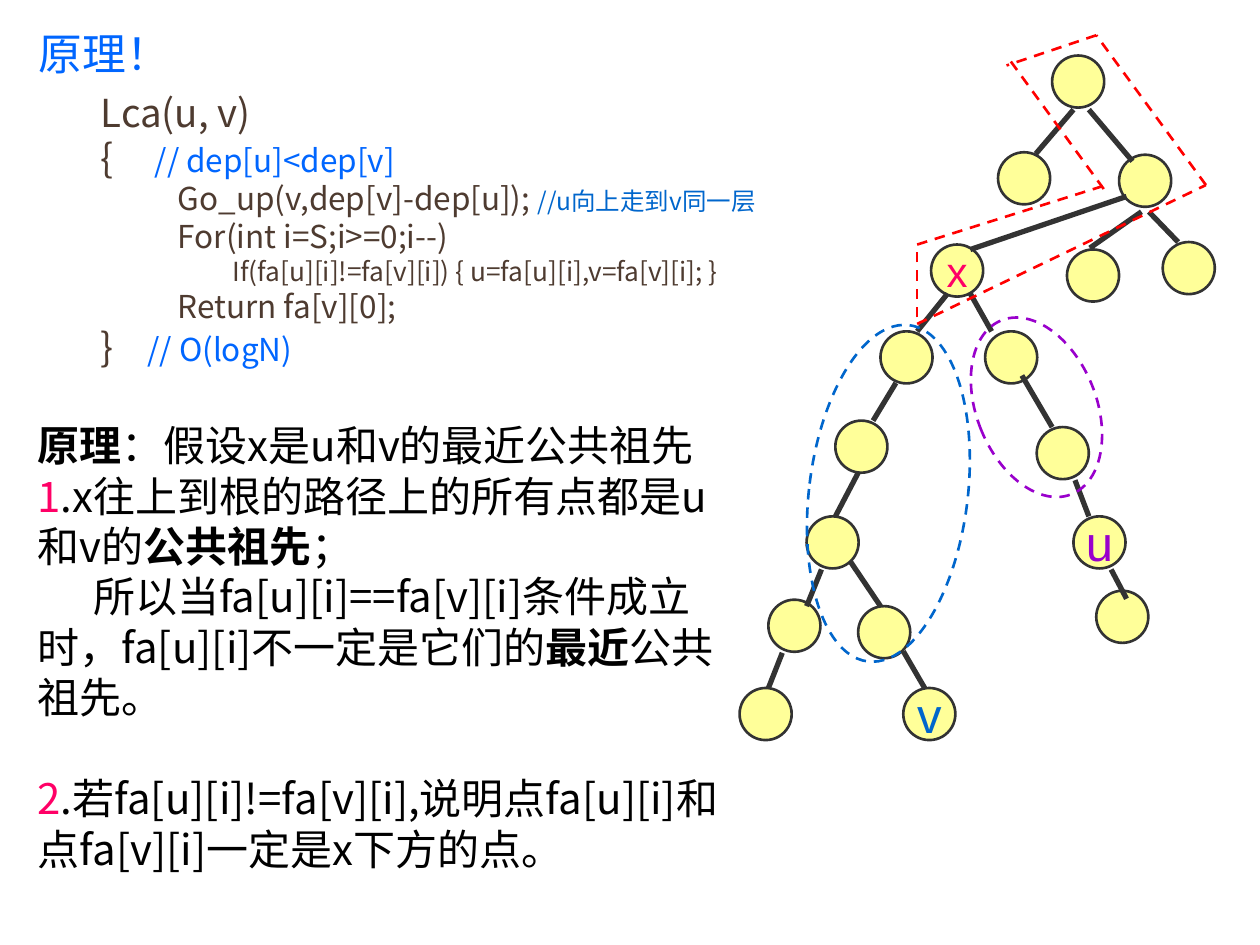
from dataclasses import dataclass
from typing import NamedTuple

from lxml import etree
from pptx import Presentation
from pptx.dml.color import RGBColor
from pptx.enum.dml import MSO_LINE
from pptx.enum.shapes import MSO_CONNECTOR, MSO_SHAPE
from pptx.enum.text import MSO_ANCHOR, MSO_AUTO_SIZE, PP_ALIGN
from pptx.oxml.ns import qn
from pptx.util import Cm, Pt

OVAL = MSO_SHAPE.OVAL
STRAIGHT = MSO_CONNECTOR.STRAIGHT
DASH = MSO_LINE.DASH
TOP, MIDDLE = MSO_ANCHOR.TOP, MSO_ANCHOR.MIDDLE
LEFT, CENTER = PP_ALIGN.LEFT, PP_ALIGN.CENTER
NO_FIT = MSO_AUTO_SIZE.NONE


@dataclass(frozen=True)
class Theme:
    sans: str = "Noto Sans CJK SC"
    latin: str = "Arial"
    black: str = "000000"
    code: str = "4E3B30"
    comment: str = "0066FF"
    blue: str = "0066CC"
    pink: str = "FF0066"
    purple: str = "9900CC"
    red: str = "FF0000"
    edge: str = "333333"
    node: str = "FFFF99"
    title_size: int = 25
    text_size: int = 24
    head_size: int = 22
    code_size: int = 18
    inner_size: int = 15
    note_size: int = 14
    label_size: int = 28
    thin: float = 1.5
    thick: float = 3


T = Theme()


class Run(NamedTuple):
    text: str
    size: int = T.text_size
    color: str = T.black
    bold: bool = False
    font: str = T.sans


class Para(NamedTuple):
    runs: list[Run]
    level: int = 0
    margin: float = 0
    indent: float = 0
    before: float = 0
    spacing: float = 1
    align: PP_ALIGN = LEFT


class Node(NamedTuple):
    left: float
    top: float
    label: Run | None = None


class Edge(NamedTuple):
    x1: float
    y1: float
    x2: float
    y2: float


class Ring(NamedTuple):
    left: float
    top: float
    width: float
    height: float
    angle: int
    color: str


def write(tf, paras: list[Para], anchor: MSO_ANCHOR = TOP, wrap: bool = True) -> None:
    frame = {"word_wrap": wrap, "auto_size": NO_FIT, "vertical_anchor": anchor,
             "margin_left": Cm(0.25), "margin_right": Cm(0.25),
             "margin_top": Cm(0.13), "margin_bottom": Cm(0.13)}
    for name, value in frame.items():
        setattr(tf, name, value)
    for i, para in enumerate(paras):
        p = tf.paragraphs[0] if i == 0 else tf.add_paragraph()
        form = {"level": para.level, "alignment": para.align, "line_spacing": para.spacing,
                "space_before": Pt(para.before), "space_after": Pt(0)}
        for name, value in form.items():
            setattr(p, name, value)
        pPr = p._p.get_or_add_pPr()
        pPr.set("marL", str(int(Cm(para.margin))))
        pPr.set("indent", str(int(Cm(para.indent))))
        etree.SubElement(pPr, qn("a:buNone"))
        for run in para.runs:
            r = p.add_run()
            r.text = run.text
            for name, value in {"name": run.font, "size": Pt(run.size), "bold": run.bold}.items():
                setattr(r.font, name, value)
            r.font.color.rgb = RGBColor.from_string(run.color)
            etree.SubElement(r._r.get_or_add_rPr(), qn("a:ea")).set("typeface", run.font)


def place(sp, left: float, top: float, width: float, height: float) -> None:
    for name, value in {"left": left, "top": top, "width": width, "height": height}.items():
        setattr(sp, name, Cm(value))


def outline(sp, color: str, width: float, dashed: bool = False) -> None:
    sp.line.color.rgb = RGBColor.from_string(color)
    sp.line.width = Pt(width)
    if dashed:
        sp.line.dash_style = DASH


def draw_node(s, node: Node, size: float = 1.05) -> None:
    sp = s.shapes.add_shape(OVAL, Cm(node.left), Cm(node.top), Cm(size), Cm(size))
    sp.shadow.inherit = False
    sp.fill.solid()
    sp.fill.fore_color.rgb = RGBColor.from_string(T.node)
    outline(sp, T.edge, T.thin)
    if node.label:
        write(sp.text_frame, [Para([node.label], align=CENTER)], MIDDLE, False)


def draw_edge(s, edge: Edge, color: str, width: float, dashed: bool = False) -> None:
    sp = s.shapes.add_connector(STRAIGHT, *map(Cm, edge))
    outline(sp, color, width, dashed)
    etree.SubElement(sp._element.spPr, qn("a:effectLst"))


def draw_ring(s, ring: Ring) -> None:
    sp = s.shapes.add_shape(OVAL, *map(Cm, ring[:4]))
    sp.shadow.inherit = False
    sp.fill.background()
    sp.rotation = ring.angle
    outline(sp, ring.color, T.thin, True)


def code(text: str, size: int = T.code_size, color: str = T.code) -> Run:
    return Run(text, size, color)


def code_line(runs: list[Run], level: int, before: float, margin: float, start: float) -> Para:
    return Para(runs, level, margin, start - margin, before, 0.8)


CODE = [
    code_line([code("Lca(u, v)", T.head_size)], 1, 0, 2.06, 1.27),
    code_line([code("{\t", T.head_size), code("// dep[u]<dep[v]", color=T.comment)], 1, 4.5, 2.36, 1.27),
    code_line([code("  Go_up(v,dep[v]-dep[u]); "), code("//u向上走到v同一层", T.note_size, T.blue)],
              2, 3.5, 3.18, 2.54),
    code_line([code("  For(int i=S;i>=0;i--)")], 2, 4.5, 3.18, 2.54),
    code_line([code(" If(fa[u][i]!=fa[v][i]) { u=fa[u][i],v=fa[v][i]; }", T.inner_size)],
              3, 3.7, 4.45, 3.81),
    code_line([code("  Return fa[v][0];")], 2, 4.5, 3.18, 2.54),
    code_line([code("}\t", T.head_size), code("// O(logN)", color=T.comment)], 1, 4.5, 2.21, 1.27),
]
PRINCIPLE = [
    Para([Run("原理", bold=True), Run("：假设x是u和v的最近公共祖先")]),
    Para([Run("1", color=T.pink), Run(".x往上到根的路径上的所有点都是u和v的"),
          Run("公共祖先", bold=True), Run("；")]),
    Para([Run("所以当fa[u][i]==fa[v][i]条件成立时，fa[u][i]不一定是它们的"),
          Run("最近", bold=True), Run("公共祖先。")], indent=1.12),
    Para([Run("2", color=T.pink),
          Run(".若fa[u][i]!=fa[v][i],说明点fa[u][i]和点fa[v][i]一定是x下方的点。")], before=29),
]
NODES = [
    Node(21.21, 1.12), Node(20.12, 3.07), Node(22.56, 3.12),
    Node(18.77, 4.93, Run("x", T.text_size, T.pink, font=T.latin)),
    Node(21.51, 5.03), Node(17.75, 6.68), Node(19.86, 6.68), Node(23.44, 4.88),
    Node(18.21, 13.87, Run("v", T.label_size, T.blue, font=T.latin)),
    Node(16.84, 8.48),
    Node(21.64, 10.41, Run("u", T.label_size, T.purple, font=T.latin)),
    Node(20.9, 8.61), Node(16.26, 10.41), Node(22.1, 11.91), Node(15.49, 12.09),
    Node(17.3, 12.22), Node(14.91, 13.87),
]
EDGES = [
    Edge(21.64, 2.21, 20.88, 3.1), Edge(21.95, 2.21, 22.83, 3.25),
    Edge(22.71, 3.96, 19.56, 5.03), Edge(19.56, 5.92, 19.99, 6.68),
    Edge(23.01, 4.27, 21.97, 5), Edge(19.1, 5.92, 18.49, 6.68),
    Edge(20.6, 7.57, 21.21, 8.61), Edge(18.06, 7.72, 17.6, 8.48),
    Edge(22.4, 11.48, 22.71, 12.07), Edge(18.64, 13.87, 18.21, 13.13),
    Edge(21.67, 9.68, 21.95, 10.41), Edge(17.3, 9.53, 16.84, 10.41),
    Edge(17.15, 11.33, 17.75, 12.22), Edge(16.56, 11.48, 16.26, 12.22),
    Edge(23.16, 4.27, 23.75, 4.88), Edge(15.77, 13.16, 15.49, 13.87),
]
ANCESTOR_BORDER = [
    Edge(18.49, 4.93, 22.3, 3.73), Edge(22.25, 3.81, 20.29, 1.12),
    Edge(22.1, 0.71, 20.29, 1.32), Edge(24.31, 3.73, 22.1, 0.71),
    Edge(18.49, 6.53, 24.31, 3.73), Edge(18.49, 6.4, 18.49, 4.93),
]
RINGS = [Ring(16.31, 6.53, 3.2, 6.83, 7, T.blue), Ring(19.69, 6.32, 2.41, 3.78, 338, T.purple)]


def main() -> None:
    prs = Presentation()
    prs.slide_width, prs.slide_height = Cm(25.4), Cm(19.05)
    s = prs.slides.add_slide(prs.slide_layouts[1])
    title, body = s.shapes.title, s.placeholders[1]
    place(title, 0.53, 0.41, 9.17, 1.32)
    write(title.text_frame, [Para([Run("原理！", T.title_size, T.comment, font=T.latin)])])
    place(body, 0.51, 1.85, 23.6, 7.6)
    write(body.text_frame, CODE)
    box = s.shapes.add_textbox(Cm(0.51), Cm(8.33), Cm(14.4), Cm(10.41))
    write(box.text_frame, PRINCIPLE)
    for node in NODES:
        draw_node(s, node)
    for edge in EDGES:
        draw_edge(s, edge, T.edge, T.thick)
    for edge in ANCESTOR_BORDER:
        draw_edge(s, edge, T.red, T.thin, True)
    for ring in RINGS:
        draw_ring(s, ring)
    prs.save("out.pptx")


if __name__ == "__main__":
    main()
